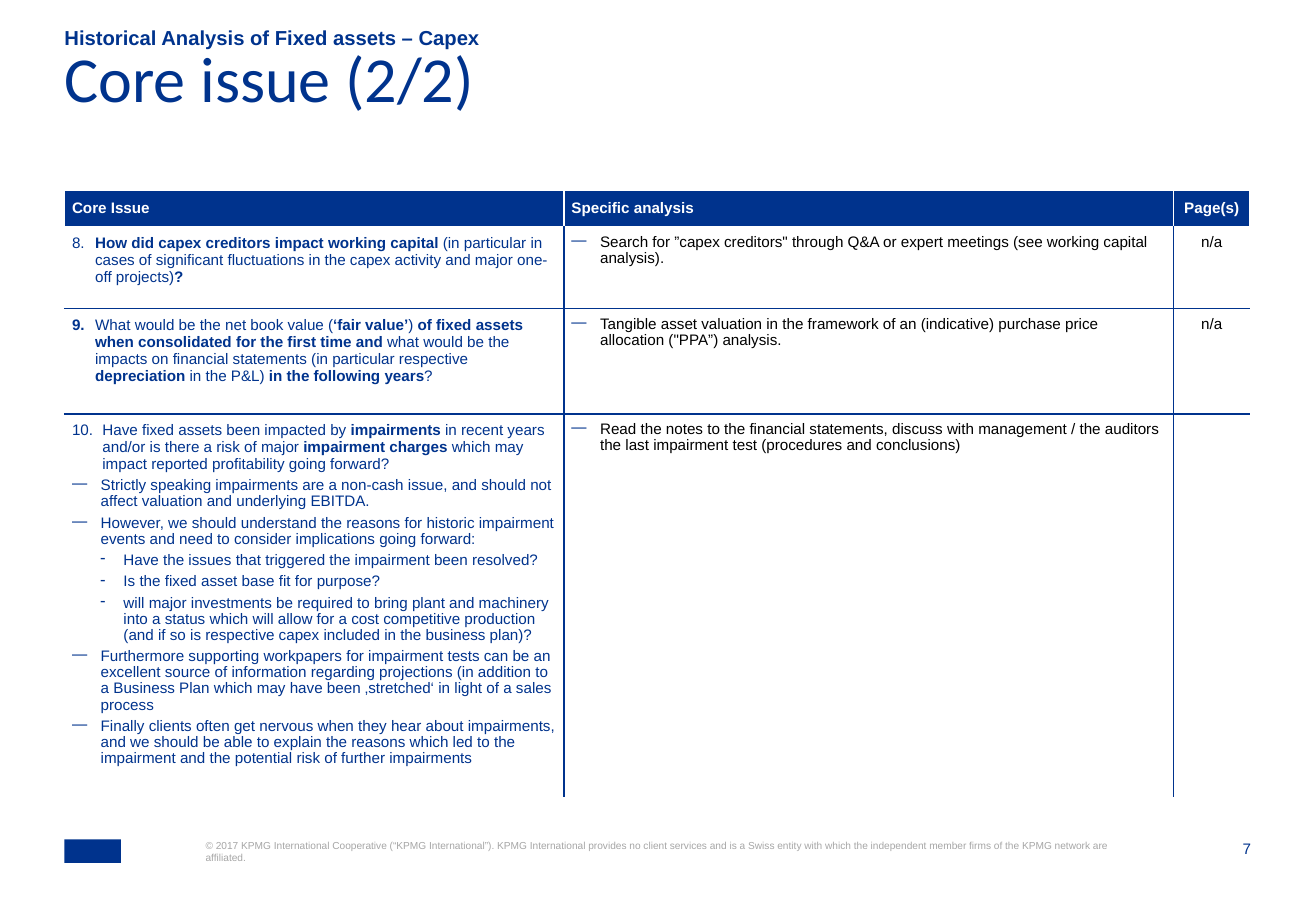
from lxml import etree
from pptx import Presentation
from pptx.dml.color import RGBColor
from pptx.enum.shapes import MSO_SHAPE
from pptx.enum.text import MSO_ANCHOR, PP_ALIGN
from pptx.oxml.ns import qn
from pptx.util import Pt

RECTANGLE = MSO_SHAPE.RECTANGLE
TOP, MIDDLE, BOTTOM = MSO_ANCHOR.TOP, MSO_ANCHOR.MIDDLE, MSO_ANCHOR.BOTTOM
LEFT, CENTER, RIGHT = PP_ALIGN.LEFT, PP_ALIGN.CENTER, PP_ALIGN.RIGHT

COLORS = {"navy": "00338D", "white": "FFFFFF", "black": "000000", "gray": "A6A6A6"}
BODY_FONT, TITLE_FONT = "Arial", "Calibri"
MARGIN_LEFT = 38.2
COLUMN_WIDTHS = [296, 361.5, 45]
ROW_HEIGHTS = [22, 48.5, 62.5, 212.5]
CELL_PADDING = 4.5

# Paragraph kinds: indent, hanging, spacing, bullet
KINDS = {
    "plain": {"spacing": 0.95},
    "number": {"indent": 13.7, "hanging": 13.7, "spacing": 1.0, "before": 2, "tab": 13.7},
    "auto_number": {"indent": 18, "hanging": 18, "spacing": 1.0, "before": 2, "start": 10},
    "dash": {"indent": 17, "hanging": 17, "spacing": 0.95, "before": 3, "bullet": "—"},
    "sub_dash": {"indent": 30.5, "hanging": 13.7, "spacing": 0.95, "before": 3, "bullet": "-"},
}

# Each cell is a list of (kind, text); ** switches bold on and off
HEADERS = ["Core Issue", "Specific analysis", "Page(s)"]
ISSUES = [
    (
        [("number", "8.\t**How did capex creditors impact working capital** (in particular in "
          "cases of significant fluctuations in the capex activity and major one-off projects)**?**")],
        [("dash", "Search for ”capex creditors\" through Q&A or expert meetings "
          "(see working capital analysis).")],
        [("plain", "n/a")],
    ),
    (
        [("number", "**9.\t**What would be the net book value (**‘fair value’**) **of fixed assets "
          "when consolidated for the first time and** what would be the impacts on financial "
          "statements (in particular respective **depreciation** in the P&L) "
          "**in the following years**?")],
        [("dash", "Tangible asset valuation in the framework of an (indicative) purchase price "
          "allocation (\"PPA”) analysis.")],
        [("plain", "n/a")],
    ),
    (
        [("auto_number", "Have fixed assets been impacted by **impairments **in recent years and/or "
          "is there a risk of major **impairment charges** which may impact reported "
          "profitability going forward?"),
         ("dash", "Strictly speaking impairments are a non-cash issue, and should not affect "
          "valuation and underlying EBITDA."),
         ("dash", "However, we should understand the reasons for historic impairment events and "
          "need to consider implications going forward:"),
         ("sub_dash", "Have the issues that triggered the impairment been resolved?"),
         ("sub_dash", "Is the fixed asset base fit for purpose?"),
         ("sub_dash", "will major investments be required to bring plant and machinery into a "
          "status which will allow for a cost competitive production (and if so is respective "
          "capex included in the business plan)?"),
         ("dash", "Furthermore supporting workpapers for impairment tests can be an excellent "
          "source of information regarding projections (in addition to a Business Plan which "
          "may have been ‚stretched‘ in light of a sales process"),
         ("dash", "Finally clients often get nervous when they hear about impairments, and we "
          "should be able to explain the reasons which led to the impairment and the potential "
          "risk of further impairments")],
        [("dash", "Read the notes to the financial statements, discuss with management / the "
          "auditors the last impairment test (procedures and conclusions)")],
        [],
    ),
]


def rgb(color):
    return RGBColor.from_string(COLORS[color])


def set_attributes(target, values):
    for name, value in values.items():
        setattr(target, name, value)


def add_runs(paragraph, text, color, size, font=BODY_FONT, bold=False):
    for index, part in enumerate(text.split("**")):
        if part:
            run = paragraph.add_run()
            run.text = part
            set_attributes(run.font, {"name": font, "size": Pt(size),
                                      "bold": bold or index % 2 == 1})
            run.font.color.rgb = rgb(color)


def add_solid_fill(parent, tag, color):
    element = etree.SubElement(parent, qn(tag))
    etree.SubElement(element, qn("a:srgbClr"), val=COLORS[color])


def format_paragraph(paragraph, kind, first):
    properties = paragraph._p.get_or_add_pPr()
    if "indent" in kind:
        properties.set("marL", str(Pt(kind["indent"])))
        properties.set("indent", str(-Pt(kind["hanging"])))
    if "bullet" in kind or "start" in kind:
        add_solid_fill(properties, "a:buClr", "navy")
    if "bullet" in kind:
        etree.SubElement(properties, qn("a:buChar"), char=kind["bullet"])
    if "start" in kind:
        etree.SubElement(properties, qn("a:buAutoNum"), type="arabicPeriod",
                         startAt=str(kind["start"]))
    if "tab" in kind:
        tabs = etree.SubElement(properties, qn("a:tabLst"))
        etree.SubElement(tabs, qn("a:tab"), pos=str(Pt(kind["tab"])), algn="l")
    paragraph.line_spacing = kind["spacing"]
    if not first:
        paragraph.space_before = Pt(kind["before"])


def add_text(slide, box, text, color, size, font=BODY_FONT, bold=False,
             alignment=LEFT, anchor=TOP, spacing=1.0):
    frame = slide.shapes.add_textbox(*map(Pt, box)).text_frame
    set_attributes(frame, {"word_wrap": True, "vertical_anchor": anchor, "margin_left": 0,
                           "margin_right": 0, "margin_top": 0, "margin_bottom": 0})
    paragraph = frame.paragraphs[0]
    set_attributes(paragraph, {"alignment": alignment, "line_spacing": spacing})
    add_runs(paragraph, text, color, size, font, bold)


def set_borders(cell, borders):
    properties = cell._tc.get_or_add_tcPr()
    for side in "LRTB":
        line = etree.SubElement(properties, qn("a:ln" + side), w=str(Pt(1)))
        add_solid_fill(line, "a:solidFill", borders[side])


def fill_cell(cell, content, fill, color, borders, bold=False, alignment=LEFT, anchor=TOP):
    padding = Pt(CELL_PADDING)
    set_attributes(cell, {"margin_left": padding, "margin_right": padding, "margin_top": padding,
                          "margin_bottom": padding, "vertical_anchor": anchor})
    set_borders(cell, borders)
    cell.fill.solid()
    cell.fill.fore_color.rgb = rgb(fill)
    frame = cell.text_frame
    for index, (kind, text) in enumerate(content):
        paragraph = frame.add_paragraph() if index else frame.paragraphs[0]
        format_paragraph(paragraph, KINDS[kind], index == 0)
        paragraph.alignment = alignment
        add_runs(paragraph, text, color, 9, bold=bold)


def add_issue_table(slide):
    last_row, last_column = len(ISSUES), len(HEADERS) - 1
    table = slide.shapes.add_table(
        len(ROW_HEIGHTS), len(COLUMN_WIDTHS), Pt(MARGIN_LEFT), Pt(112.5),
        Pt(sum(COLUMN_WIDTHS)), Pt(sum(ROW_HEIGHTS))).table
    table.horz_banding = False
    for column, width in zip(table.columns, COLUMN_WIDTHS):
        column.width = Pt(width)
    for row, height in zip(table.rows, ROW_HEIGHTS):
        row.height = Pt(height)

    # Header row
    alignments = [LEFT, LEFT, CENTER]
    for column, header in enumerate(HEADERS):
        fill_cell(table.cell(0, column), [("plain", header)], "navy", "white",
                  dict.fromkeys("LRTB", "white"), True, alignments[column], MIDDLE)

    # Issue rows: navy inner lines, white outer lines
    text_colors = ["navy", "black", "black"]
    for row, issue in enumerate(ISSUES, start=1):
        for column, content in enumerate(issue):
            outer = {"L": column == 0, "R": column == last_column,
                     "T": row == 1, "B": row == last_row}
            borders = {side: "white" if edge else "navy" for side, edge in outer.items()}
            fill_cell(table.cell(row, column), content, "white", text_colors[column],
                      borders, alignment=alignments[column])


def add_logo_block(slide):
    block = slide.shapes.add_shape(RECTANGLE, Pt(MARGIN_LEFT), Pt(497.5), Pt(33.5), Pt(14))
    block.shadow.inherit = False
    block.fill.solid()
    block.fill.fore_color.rgb = rgb("navy")
    block.line.fill.background()


def main():
    presentation = Presentation()
    set_attributes(presentation, {"slide_width": Pt(780), "slide_height": Pt(540)})
    slide = presentation.slides.add_slide(presentation.slide_layouts[6])

    # Headings
    add_text(slide, (MARGIN_LEFT, 15.8, 677, 13.7), "Historical Analysis of Fixed assets – Capex",
             "navy", 12, bold=True, anchor=BOTTOM)
    add_text(slide, (MARGIN_LEFT, 35.3, 702.7, 57), "Core issue (2/2)", "navy", 38,
             font=TITLE_FONT, spacing=0.7)

    add_issue_table(slide)

    # Footer
    add_logo_block(slide)
    add_text(slide, (121.9, 497.5, 545, 29.5),
             "© 2017 KPMG International Cooperative (“KPMG International”). KPMG International "
             "provides no client services and is a Swiss entity with which the independent member "
             "firms of the KPMG network are affiliated.", "gray", 6)
    add_text(slide, (710.6, 497.5, 31, 11.5), "7", "navy", 9, alignment=RIGHT)

    presentation.save("out.pptx")


if __name__ == "__main__":
    main()
